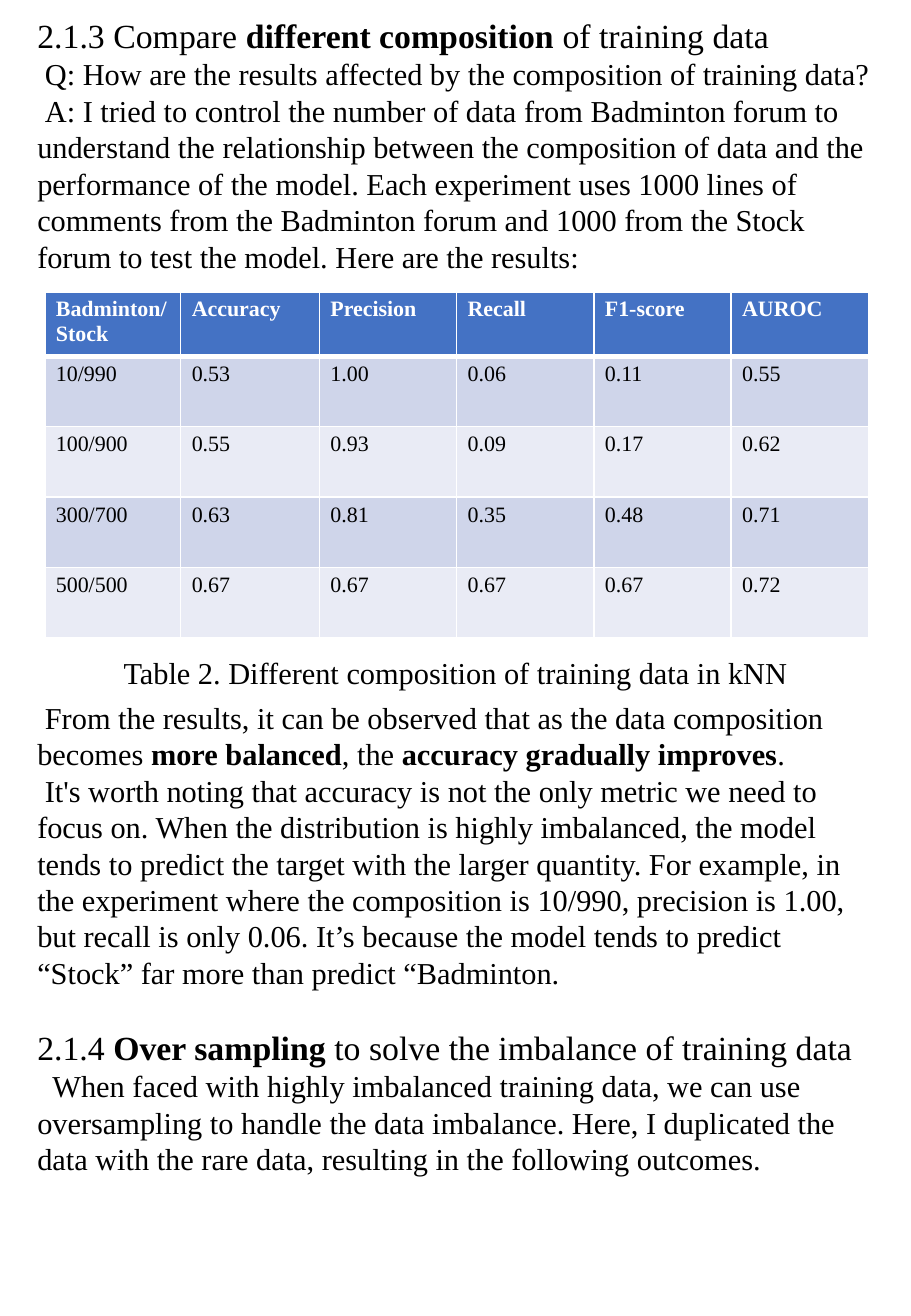
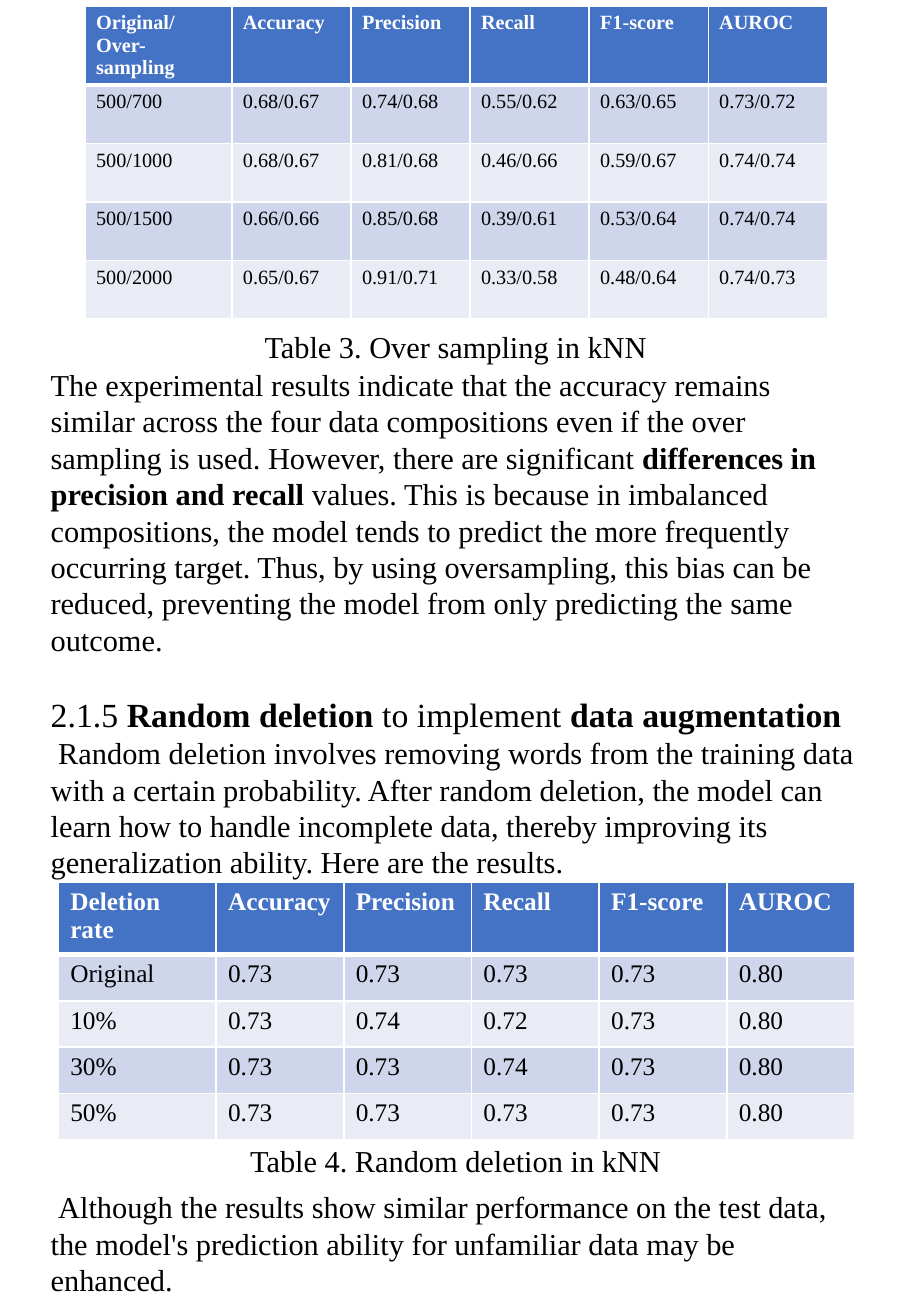
import dataclasses

import lxml.etree
import pptx
import pptx.dml.color
import pptx.enum.text
import pptx.oxml.ns
import pptx.presentation
import pptx.shapes.base
import pptx.slide
import pptx.table
import pptx.text.text
import pptx.util
from pptx.util import Cm

FONT = "Times New Roman"
BLACK, WHITE = "000000", "FFFFFF"
HEADER_FILL = "4472C4"
BAND_FILLS = ("CFD5EA", "E9EBF5")
HEADING_SIZE, BODY_SIZE = 20, 18
LINE_FACTOR = 1.2
SPACE_WIDTH = 4.5
METRICS = ("Accuracy", "Precision", "Recall", "F1-score", "AUROC")
TITLE_ONLY_LAYOUT = 5


@dataclasses.dataclass(frozen=True)
class Box:
    """Position and size in centimetres."""
    left: float
    top: float
    width: float
    height: float

    def lengths(self) -> tuple[Cm, Cm, Cm, Cm]:
        return Cm(self.left), Cm(self.top), Cm(self.width), Cm(self.height)


@dataclasses.dataclass(frozen=True)
class Line:
    """A paragraph; ** switches bold on and off."""
    text: str
    size: int = BODY_SIZE
    indent: float = 0
    before: float = 0
    centred: bool = False


@dataclasses.dataclass(frozen=True)
class Results:
    """A results table: its place, column widths, row heights and values."""
    left: float
    top: float
    widths: tuple[float, ...]
    header_height: float
    row_height: float
    size: int
    margin: float
    first_header: str
    rows: tuple[str, ...]


def colour(hex_value: str) -> pptx.dml.color.RGBColor:
    return pptx.dml.color.RGBColor.from_string(hex_value)


def apply(target: object, values: dict[str, object]) -> None:
    for name, value in values.items():
        setattr(target, name, value)


def format_run(run: pptx.text.text._Run, size: int, bold: bool, hex_value: str) -> None:
    apply(run.font, {"name": FONT, "size": pptx.util.Pt(size), "bold": bold})
    run.font.color.rgb = colour(hex_value)


def write_lines(frame: pptx.text.text.TextFrame, lines: list[Line]) -> None:
    align = pptx.enum.text.PP_ALIGN
    apply(frame, {
        "word_wrap": True,
        "vertical_anchor": pptx.enum.text.MSO_ANCHOR.TOP,
        "margin_left": Cm(0.25), "margin_right": Cm(0.25),
        "margin_top": Cm(0.13), "margin_bottom": Cm(0.13),
    })
    for number, line in enumerate(lines):
        paragraph = frame.add_paragraph() if number else frame.paragraphs[0]
        apply(paragraph, {
            "alignment": align.CENTER if line.centred else align.LEFT,
            "line_spacing": pptx.util.Pt(line.size * LINE_FACTOR),
            "space_before": pptx.util.Pt(line.before),
        })
        if line.indent:
            paragraph._p.get_or_add_pPr().set("indent", str(pptx.util.Pt(line.indent)))
        for part, text in enumerate(line.text.split("**")):
            if text:
                run = paragraph.add_run()
                run.text = text
                format_run(run, line.size, part % 2 == 1, BLACK)


def add_heading(slide: pptx.slide.Slide, box: Box, text: str) -> None:
    heading = slide.shapes.title
    apply(heading, dict(zip(("left", "top", "width", "height"), box.lengths())))
    write_lines(heading.text_frame, [Line(text, HEADING_SIZE)])
    heading.text_frame.auto_size = pptx.enum.text.MSO_AUTO_SIZE.NONE


def add_text(slide: pptx.slide.Slide, box: Box, *lines: Line) -> None:
    frame = slide.shapes.add_textbox(*box.lengths()).text_frame
    write_lines(frame, list(lines))
    frame.auto_size = pptx.enum.text.MSO_AUTO_SIZE.SHAPE_TO_FIT_TEXT


def add_caption(slide: pptx.slide.Slide, top: float, text: str) -> None:
    add_text(slide, Box(0.64, top, 17.78, 1.02), Line(text, centred=True))


def add_borders(cell: pptx.table._Cell, row: int) -> None:
    """Draw white cell edges, thick between the header and the first row."""
    points = {"L": 1, "R": 1, "T": 3 if row == 1 else 1, "B": 3 if row == 0 else 1}
    qn = pptx.oxml.ns.qn
    for side, width in points.items():
        edge = lxml.etree.SubElement(
            cell._tc.get_or_add_tcPr(), qn(f"a:ln{side}"), w=str(pptx.util.Pt(width)))
        fill = lxml.etree.SubElement(edge, qn("a:solidFill"))
        lxml.etree.SubElement(fill, qn("a:srgbClr"), val=WHITE)


def add_results(slide: pptx.slide.Slide, results: Results) -> None:
    rows = [(results.first_header, *METRICS)] + [row.split() for row in results.rows]
    heights = [results.header_height] + [results.row_height] * len(results.rows)
    box = Box(results.left, results.top, sum(results.widths), sum(heights))
    table = slide.shapes.add_table(len(rows), len(results.widths), *box.lengths()).table
    for column, width in zip(table.columns, results.widths):
        column.width = Cm(width)
    for number, (values, height) in enumerate(zip(rows, heights)):
        header = number == 0
        table.rows[number].height = Cm(height)
        for column, value in enumerate(values):
            cell = table.cell(number, column)
            apply(cell, {
                "text": value,
                "margin_left": Cm(results.margin), "margin_right": Cm(results.margin),
                "margin_top": Cm(0.12), "margin_bottom": Cm(0.12),
            })
            for paragraph in cell.text_frame.paragraphs:
                for run in paragraph.runs:
                    format_run(run, results.size, header, WHITE if header else BLACK)
            add_borders(cell, number)
            cell.fill.solid()
            cell.fill.fore_color.rgb = colour(
                HEADER_FILL if header else BAND_FILLS[(number - 1) % 2])


COMPOSITION = Results(
    0.94, 6.1, (2.84, 2.9) + (2.87,) * 4, 1.35, 1.47, 13, 0.23, "Badminton/\vStock",
    ("10/990 0.53 1.00 0.06 0.11 0.55",
     "100/900 0.55 0.93 0.09 0.17 0.62",
     "300/700 0.63 0.81 0.35 0.48 0.71",
     "500/500 0.67 0.67 0.67 0.67 0.72"))

OVER_SAMPLING = Results(
    1.78, 0.13, (3.07,) + (2.49,) * 5, 1.5, 1.22, 12, 0.23, "Original/\nOver-sampling",
    ("500/700 0.68/0.67 0.74/0.68 0.55/0.62 0.63/0.65 0.73/0.72",
     "500/1000 0.68/0.67 0.81/0.68 0.46/0.66 0.59/0.67 0.74/0.74",
     "500/1500 0.66/0.66 0.85/0.68 0.39/0.61 0.53/0.64 0.74/0.74",
     "500/2000 0.65/0.67 0.91/0.71 0.33/0.58 0.48/0.64 0.74/0.73"))

RANDOM_DELETION = Results(
    1.22, 18.44, (3.3,) + (2.67,) * 5, 1.5, 0.97, 15, 0.25, "Deletion rate",
    ("Original 0.73 0.73 0.73 0.73 0.80",
     "10% 0.73 0.74 0.72 0.73 0.80",
     "30% 0.73 0.73 0.74 0.73 0.80",
     "50% 0.73 0.73 0.73 0.73 0.80"))


def add_composition_slide(deck: pptx.presentation.Presentation) -> None:
    slide = deck.slides.add_slide(deck.slide_layouts[TITLE_ONLY_LAYOUT])
    add_heading(slide, Box(0.53, 0.18, 17.98, 1.1),
                "2.1.3 Compare **different composition **of training data")
    add_text(
        slide, Box(0.53, 1.03, 17.98, 4.9),
        Line("Q: How are the results affected by the composition of training data?",
             indent=SPACE_WIDTH),
        Line("A: I tried to control the number of data from Badminton forum to understand "
             "the relationship between the composition of data and the performance of the "
             "model. Each experiment uses 1000 lines of comments from the Badminton forum "
             "and 1000 from the Stock forum to test the model. Here are the results:",
             indent=SPACE_WIDTH))
    add_results(slide, COMPOSITION)
    add_caption(slide, 13.54, "Table 2. Different composition of training data in kNN")
    add_text(
        slide, Box(0.53, 14.48, 17.98, 10.34),
        Line("From the results, it can be observed that as the data composition becomes "
             "**more balanced**, the **accuracy gradually improves**.", indent=SPACE_WIDTH),
        Line("It's worth noting that accuracy is not the only metric we need to focus on. "
             "When the distribution is highly imbalanced, the model tends to predict the "
             "target with the larger quantity. For example, in the experiment where the "
             "composition is 10/990, precision is 1.00, but recall is only 0.06. It’s "
             "because the model tends to predict “Stock” far more than predict “Badminton.",
             indent=SPACE_WIDTH),
        Line("2.1.4 **Over sampling **to solve the imbalance of training data",
             HEADING_SIZE, before=BODY_SIZE * LINE_FACTOR),
        Line("When faced with highly imbalanced training data, we can use oversampling to "
             "handle the data imbalance. Here, I duplicated the data with the rare data, "
             "resulting in the following outcomes.", indent=2 * SPACE_WIDTH))


def add_augmentation_slide(deck: pptx.presentation.Presentation) -> None:
    slide = deck.slides.add_slide(deck.slide_layouts[TITLE_ONLY_LAYOUT])
    add_results(slide, OVER_SAMPLING)
    add_caption(slide, 6.73, "Table 3. Over sampling in kNN")
    add_text(
        slide, Box(0.81, 7.52, 17.45, 6.35),
        Line("The experimental results indicate that the accuracy remains similar across "
             "the four data compositions even if the over sampling is used. However, there "
             "are significant **differences in precision and recall** values. This is "
             "because in imbalanced compositions, the model tends to predict the more "
             "frequently occurring target. Thus, by using oversampling, this bias can be "
             "reduced, preventing the model from only predicting the same outcome."))
    add_heading(slide, Box(0.81, 14.38, 17.45, 1.1),
                "2.1.5 **Random deletion **to implement **data augmentation**")
    add_text(
        slide, Box(0.81, 15.22, 17.45, 3.3),
        Line("Random deletion involves removing words from the training data with a certain "
             "probability. After random deletion, the model can learn how to handle "
             "incomplete data, thereby improving its generalization ability. Here are the "
             "results.", indent=SPACE_WIDTH))
    add_results(slide, RANDOM_DELETION)
    add_caption(slide, 23.75, "Table 4. Random deletion in kNN")
    add_text(
        slide, Box(0.81, 24.71, 17.12, 2.57),
        Line("Although the results show similar performance on the test data, the model's "
             "prediction ability for unfamiliar data may be enhanced.", indent=SPACE_WIDTH))


def main() -> None:
    deck = pptx.Presentation()
    apply(deck, {"slide_width": Cm(19.05), "slide_height": Cm(27.51)})
    add_composition_slide(deck)
    add_augmentation_slide(deck)
    deck.save("out.pptx")


if __name__ == "__main__":
    main()
